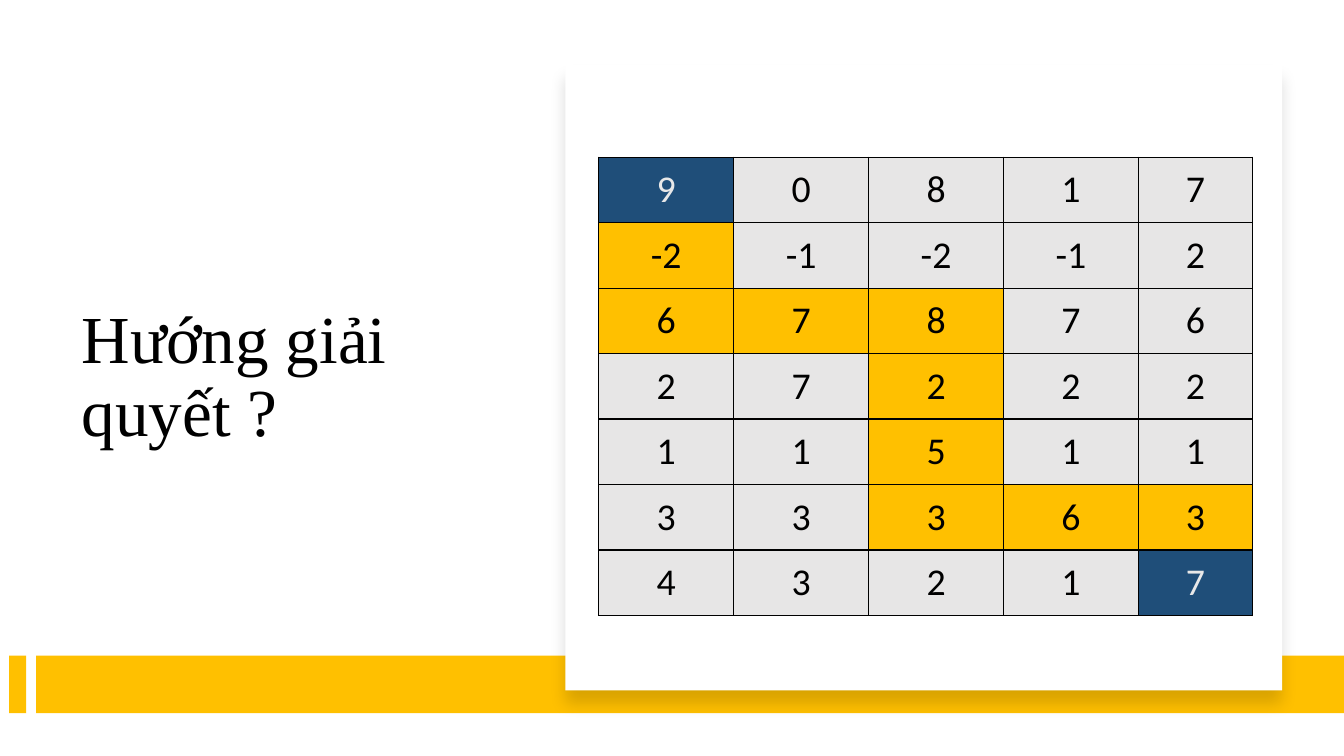
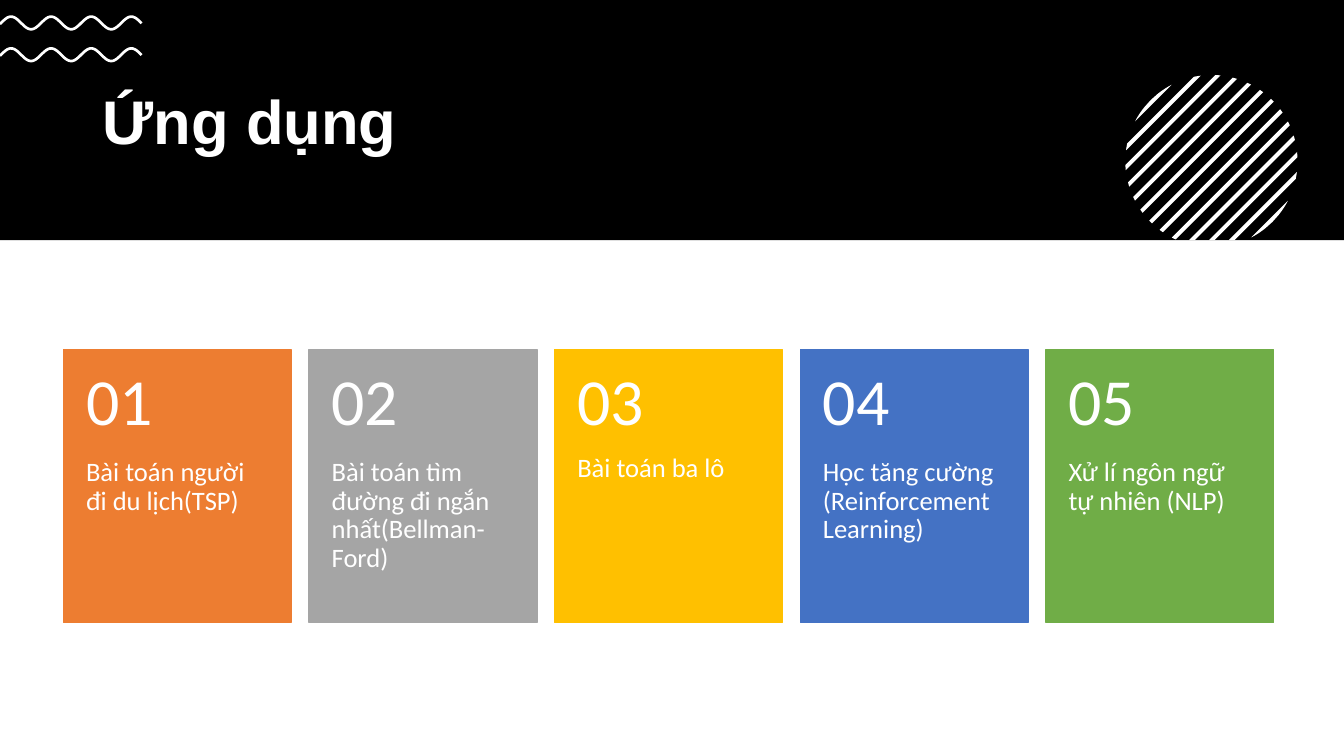
import math

import lxml.etree
import pptx
import pptx.dml.color
import pptx.enum.shapes
import pptx.enum.text
import pptx.oxml.ns
import pptx.util

Cm = pptx.util.Cm
Pt = pptx.util.Pt
qn = pptx.oxml.ns.qn
ANCHOR = pptx.enum.text.MSO_ANCHOR
ALIGN = pptx.enum.text.PP_ALIGN

COLORS = {
    "black": "000000", "white": "FFFFFF", "gold": "FFC000", "navy": "1F4E79",
    "light": "E7E6E6", "pale": "E8E8E8", "orange": "ED7D31", "gray": "A5A5A5",
    "blue": "4472C4", "green": "70AD47",
}
SLIDE_W, SLIDE_H = 33.87, 19.05

GRID = [
    [9, 0, 8, 1, 7],
    [-2, -1, -2, -1, 2],
    [6, 7, 8, 7, 6],
    [2, 7, 2, 2, 2],
    [1, 1, 5, 1, 1],
    [3, 3, 3, 6, 3],
    [4, 3, 2, 1, 7],
]
ROUTE = [(0, 0), (1, 0), (2, 0), (2, 1), (2, 2), (3, 2), (4, 2),
         (5, 2), (5, 3), (5, 4), (6, 4)]
GRID_COLUMNS = [3.4, 3.4, 3.4, 3.4, 2.87]
GRID_ROW = 1.65

APPLICATIONS = [
    ("Bài toán người đi du lịch(TSP)", "orange"),
    ("Bài toán tìm đường đi ngắn nhất(Bellman-Ford)", "gray"),
    ("Bài toán ba lô", "gold"),
    ("Học tăng cường (Reinforcement Learning)", "blue"),
    ("Xử lí ngôn ngữ tự nhiên (NLP)", "green"),
]

TITLE_FRAME = {"word_wrap": True, "vertical_anchor": ANCHOR.MIDDLE,
               "auto_size": pptx.enum.text.MSO_AUTO_SIZE.NONE}
NUMBER_FRAME = {"word_wrap": True, "vertical_anchor": ANCHOR.MIDDLE,
                "margin_left": Cm(0.57), "margin_right": Cm(0.57),
                "margin_top": Cm(0.46), "margin_bottom": Cm(0.46)}
LABEL_FRAME = {"word_wrap": True, "vertical_anchor": ANCHOR.TOP,
               "margin_left": Cm(0.57), "margin_right": Cm(0.57),
               "margin_top": 0, "margin_bottom": Cm(0.91)}
CELL_FORMAT = {"vertical_anchor": ANCHOR.MIDDLE,
               "margin_left": Cm(0.38), "margin_right": Cm(0.38),
               "margin_top": Cm(0.18), "margin_bottom": Cm(0.18)}


def rgb(color):
    return pptx.dml.color.RGBColor.from_string(COLORS[color])


def apply(target, values):
    for name, value in values.items():
        setattr(target, name, value)


def paint(shape, fill=None, line=None, width=1):
    shape.shadow.inherit = False
    if fill:
        shape.fill.solid()
        shape.fill.fore_color.rgb = rgb(fill)
    else:
        shape.fill.background()
    if line:
        shape.line.color.rgb = rgb(line)
        shape.line.width = Pt(width)
    else:
        shape.line.fill.background()


def write(frame, text, color, size, font="Calibri", bold=False,
          align=ALIGN.LEFT, spacing=0.9):
    paragraph = frame.paragraphs[0]
    apply(paragraph, {"alignment": align, "line_spacing": spacing})
    run = paragraph.add_run()
    run.text = text
    apply(run.font, {"name": font, "size": Pt(size), "bold": bold})
    run.font.color.rgb = rgb(color)


def add_rectangle(slide, box, fill, line=None):
    rectangle = slide.shapes.add_shape(
        pptx.enum.shapes.MSO_SHAPE.RECTANGLE, *map(Cm, box))
    paint(rectangle, fill, line)
    return rectangle


def add_outline(slide, points, close):
    start, *rest = [(Cm(x), Cm(y)) for x, y in points]
    builder = slide.shapes.build_freeform(*start)
    builder.add_line_segments(rest, close=close)
    return builder.convert_to_shape()


def add_label(slide, box, text, size, frame_format):
    frame = slide.shapes.add_textbox(*map(Cm, box)).text_frame
    apply(frame, frame_format)
    write(frame, text, "white", size)


def place_title(slide, box, text, color, size, font, bold=False):
    """Format the title placeholder and bring it in front of what is drawn so far."""
    title = slide.shapes.title
    apply(title, dict(zip(("left", "top", "width", "height"), map(Cm, box))))
    apply(title.text_frame, TITLE_FRAME)
    write(title.text_frame, text, color, size, font, bold)
    title.element.getparent().append(title.element)


def add_solid_fill(parent, color):
    fill = lxml.etree.SubElement(parent, qn("a:solidFill"))
    return lxml.etree.SubElement(fill, qn("a:srgbClr"), val=COLORS[color])


def cast_soft_shadow(shape):
    effects = shape.element.spPr.find(qn("a:effectLst"))
    shadow = lxml.etree.SubElement(
        effects, qn("a:outerShdw"), blurRad=str(Pt(11)), dist=str(Pt(10)),
        dir="5400000", algn="t", rotWithShape="0")
    shade = lxml.etree.SubElement(shadow, qn("a:srgbClr"), val=COLORS["black"])
    lxml.etree.SubElement(shade, qn("a:alpha"), val="15000")


def add_borders(cell):
    properties = cell._tc.get_or_add_tcPr()
    for position, side in enumerate(("lnL", "lnR", "lnT", "lnB")):
        border = lxml.etree.Element(qn("a:" + side), w=str(Pt(1)))
        add_solid_fill(border, "black")
        properties.insert(position, border)


def add_grid(slide, left, top):
    table = slide.shapes.add_table(
        len(GRID), len(GRID_COLUMNS), Cm(left), Cm(top),
        Cm(sum(GRID_COLUMNS)), Cm(GRID_ROW * len(GRID))).table
    apply(table, {"first_row": False, "horz_banding": False})
    for column, width in zip(table.columns, GRID_COLUMNS):
        column.width = Cm(width)
    for r, numbers in enumerate(GRID):
        table.rows[r].height = Cm(GRID_ROW)
        for c, number in enumerate(numbers):
            is_end = (r, c) in (ROUTE[0], ROUTE[-1])
            fill = "navy" if is_end else "gold" if (r, c) in ROUTE else "light"
            cell = table.cell(r, c)
            apply(cell, CELL_FORMAT)
            cell.fill.solid()
            cell.fill.fore_color.rgb = rgb(fill)
            add_borders(cell)
            write(cell.text_frame, str(number), "pale" if is_end else "black",
                  27, align=ALIGN.CENTER, spacing=1.0)


def add_wave(slide, middle, length=3.57, period=1.01, height=0.16, crest=0.28):
    steps = 80
    xs = [length * i / steps for i in range(steps + 1)]
    points = [(x, middle - height * math.cos(math.tau * (x - crest) / period))
              for x in xs]
    paint(add_outline(slide, points, close=False), line="white", width=1.9)


def add_striped_disc(slide, center_x, center_y, radius, floor,
                     count=13, thickness=0.1):
    """Draw diagonal stripes clipped by a circle and by a horizontal floor."""
    root = math.sqrt(2)
    pitch = (2 * radius - thickness) / (count - 1)
    steps = 8

    def point(across, along):
        return (center_x + (across + along) / root,
                center_y + (across - along) / root)

    for stripe in range(count):
        upper, lower = [], []
        for i in range(steps + 1):
            across = -radius + stripe * pitch + thickness * i / steps
            reach = math.sqrt(max(radius ** 2 - across ** 2, 0))
            cut = across - root * (floor - center_y)
            upper.append(point(across, reach))
            lower.append(point(across, max(-reach, cut)))
        paint(add_outline(slide, upper + lower[::-1], close=True), "white")


def build_solution(slide):
    place_title(slide, (1.8, 3.05, 10.54, 12.95), "Hướng giải quyết ?",
                "black", 48, "Times New Roman")
    bar_left, bar_top, bar_height = 0.91, 16.52, 1.45
    add_rectangle(slide, (0.23, bar_top, 0.43, bar_height), "gold")
    add_rectangle(slide, (bar_left, bar_top, SLIDE_W - bar_left, bar_height), "gold")
    cast_soft_shadow(add_rectangle(slide, (14.25, 1.63, 18.06, 15.77), "white"))
    add_grid(slide, 15.09, 3.96)


def build_applications(slide):
    band_height = 6.05
    add_rectangle(slide, (0, 0, SLIDE_W, band_height), "black")
    place_title(slide, (2.34, 1.57, 29.21, 3.12), "Ứng dụng",
                "white", 44, "Arial", bold=True)
    for middle in (0.58, 1.38):
        add_wave(slide, middle)
    add_striped_disc(slide, 30.53, 4.06, 2.17, band_height)

    left, top, width, height, gap = 1.6, 8.81, 5.74, 6.88, 0.45
    number_height = 2.74
    for i, (label, color) in enumerate(APPLICATIONS):
        x = left + i * (width + gap)
        add_rectangle(slide, (x, top, width, height), color, color)
        add_label(slide, (x, top + number_height, width, height - number_height),
                  label, 19, LABEL_FRAME)
        add_label(slide, (x, top, width, number_height),
                  f"{i + 1:02}", 47, NUMBER_FRAME)


def main():
    deck = pptx.Presentation()
    apply(deck, {"slide_width": Cm(SLIDE_W), "slide_height": Cm(SLIDE_H)})
    title_only = deck.slide_layouts[5]
    for build in (build_solution, build_applications):
        build(deck.slides.add_slide(title_only))
    deck.save("out.pptx")


if __name__ == "__main__":
    main()
